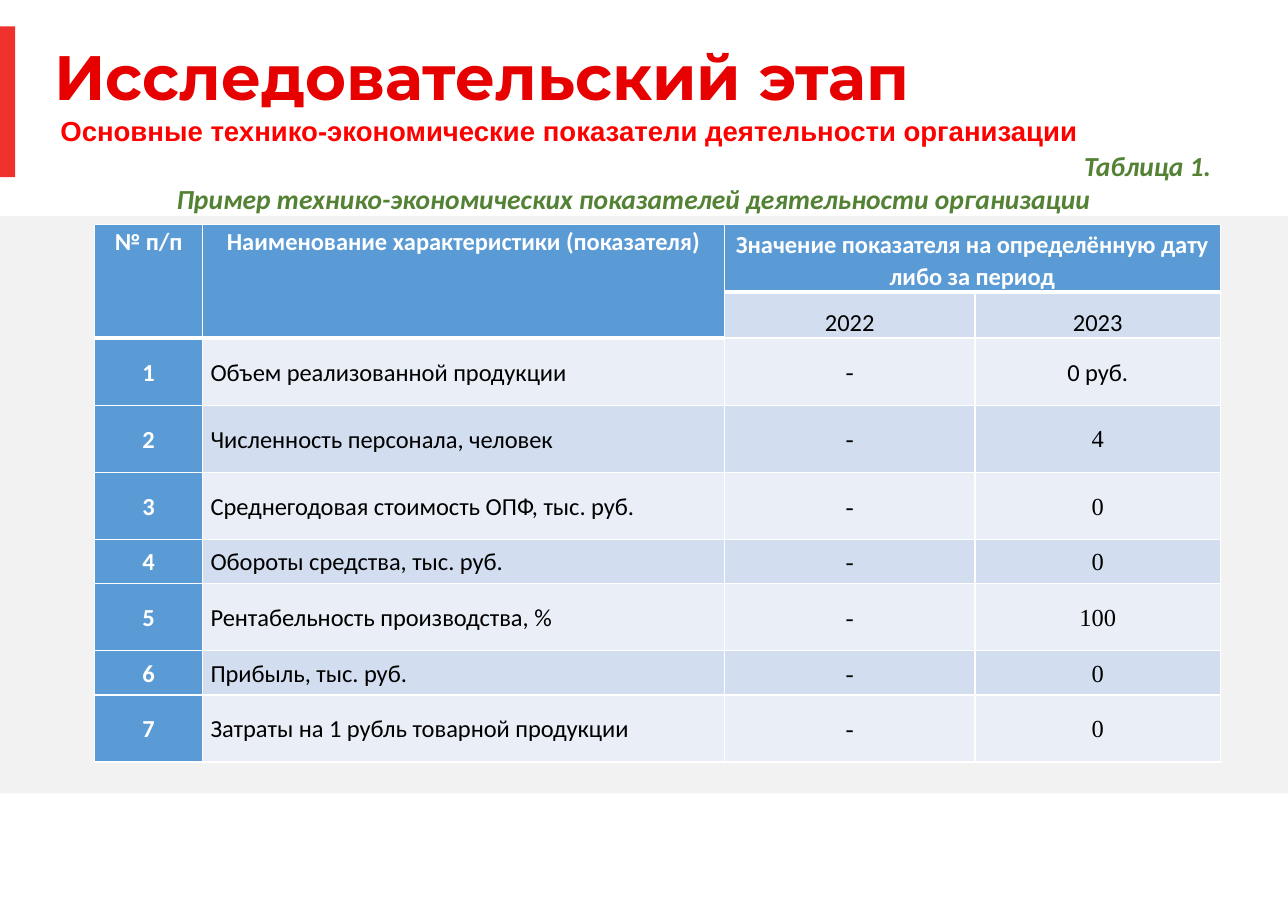
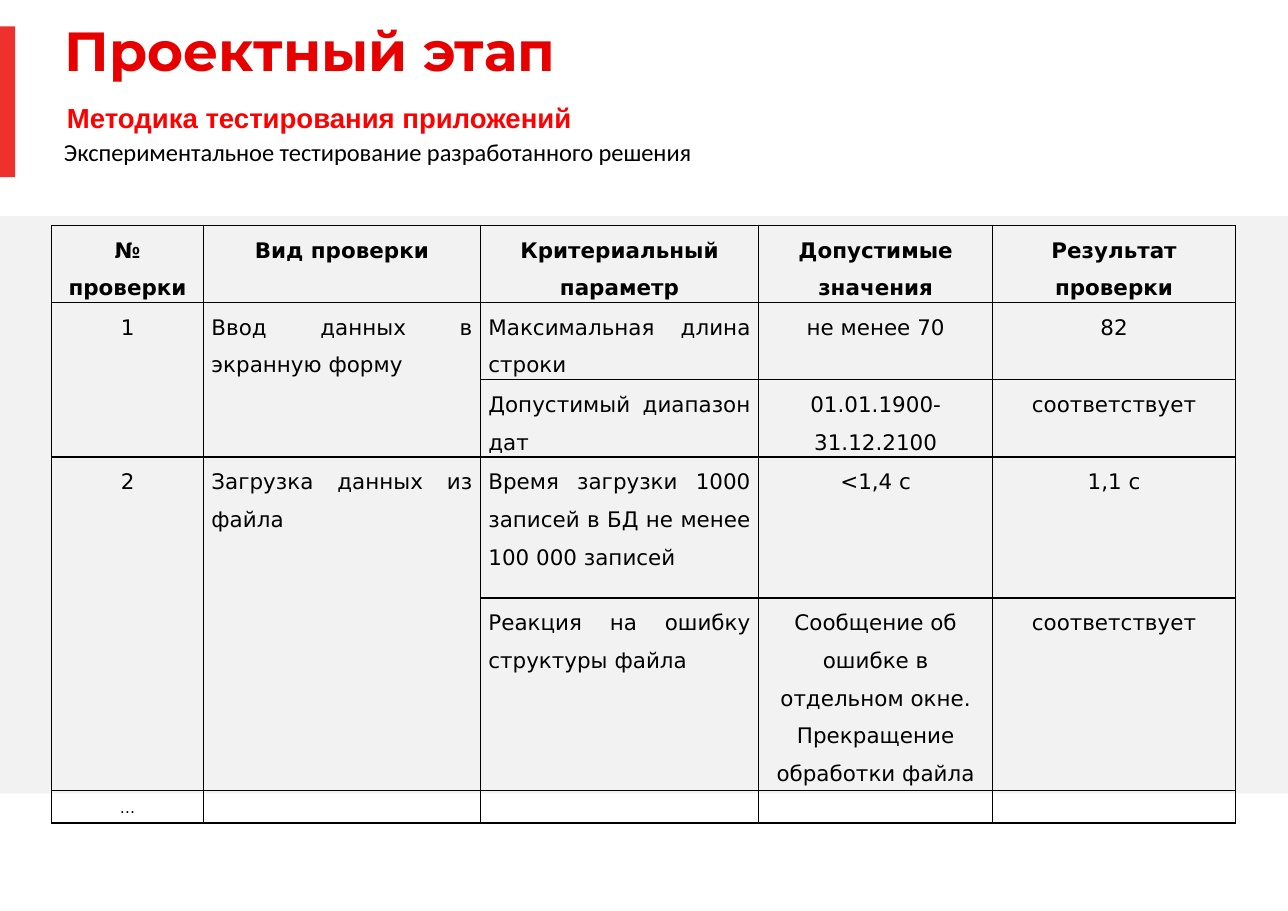
import pptx
import pptx.util
import pptx.dml.color
import pptx.enum.shapes
import pptx.enum.text
import pptx.oxml.ns
from lxml import etree

Pt = pptx.util.Pt
Align = pptx.enum.text.PP_ALIGN
Anchor = pptx.enum.text.MSO_ANCHOR
qn = pptx.oxml.ns.qn

SLIDE_WIDTH, SLIDE_HEIGHT = 841.68, 595.44
BAND, ACCENT, TITLE, SUBTITLE = "F2F2F2", "EE312C", "E60000", "FF0000"
CAPTION, BLACK, WHITE = "548235", "000000", "FFFFFF"
HEADER, ODD_ROW, EVEN_ROW = "5B9BD5", "EAEFF7", "D2DEEF"

INDICATORS = [
    ("Объем реализованной продукции", "0 руб."),
    ("Численность персонала, человек", "4"),
    ("Среднегодовая стоимость ОПФ, тыс. руб.", "0"),
    ("Обороты средства, тыс. руб.", "0"),
    ("Рентабельность производства, %", "100"),
    ("Прибыль, тыс. руб.", "0"),
    ("Затраты на 1 рубль товарной продукции", "0"),
]
CHECKS = [
    ("№ проверки", "Вид проверки", "Критериальный параметр", "Допустимые значения", "Результат проверки"),
    ("1", "Ввод данных в экранную форму", "Максимальная длина строки", "не менее 70", "82"),
    ("", "", "Допустимый диапазон дат", "01.01.1900-31.12.2100", "соответствует"),
    ("2", "Загрузка данных из файла", "Время загрузки 1000 записей в БД не менее 100 000 записей", "<1,4 с", "1,1 с"),
    ("", "", "Реакция на ошибку структуры файла",
     "Сообщение об ошибке в отдельном окне.\nПрекращение обработки файла", "соответствует"),
    ("…", "", "", "", ""),
]


def rgb(value):
    return pptx.dml.color.RGBColor.from_string(value)


def write(frame, text, font, size, color, bold=False, italic=False, align=Align.LEFT, spacing=1.0):
    frame.text = text
    for paragraph in frame.paragraphs:
        paragraph.alignment = align
        paragraph.line_spacing = spacing
        for run in paragraph.runs:
            run.font.name = font
            run.font.size = Pt(size)
            run.font.color.rgb = rgb(color)
            run.font.bold = bold
            run.font.italic = italic
        if not paragraph.runs:
            etree.SubElement(paragraph._p, qn("a:endParaRPr"), sz=str(size * 100))


def add_block(slide, color, left, top, width, height):
    block = slide.shapes.add_shape(
        pptx.enum.shapes.MSO_SHAPE.RECTANGLE, Pt(left), Pt(top), Pt(width), Pt(height))
    block.shadow.inherit = False
    block.fill.solid()
    block.fill.fore_color.rgb = rgb(color)
    block.line.fill.background()


def add_text(slide, place, text, font, size, color, insets=(0, 0), anchor=Anchor.TOP, **style):
    box = slide.shapes.add_textbox(*(Pt(length) for length in place))
    frame = box.text_frame
    frame.word_wrap = True
    frame.vertical_anchor = anchor
    frame.margin_left = frame.margin_right = Pt(insets[0])
    frame.margin_top = frame.margin_bottom = Pt(insets[1])
    write(frame, text, font, size, color, **style)
    return frame


def add_stage_slide(deck, title, title_place, title_size, subtitle, subtitle_place):
    slide = deck.slides.add_slide(deck.slide_layouts[6])
    add_block(slide, BAND, 0, 141.3, SLIDE_WIDTH, 377.3)
    add_block(slide, ACCENT, 0, 17.2, 9.9, 98.6)
    add_text(slide, title_place, title, "Montserrat", title_size, TITLE,
             anchor=Anchor.MIDDLE, bold=True, spacing=0.9)
    add_text(slide, subtitle_place, subtitle, "Arial", 18, SUBTITLE, insets=(8, 4.3),
             anchor=Anchor.BOTTOM, bold=True, spacing=0.9)
    return slide


def add_grid(slide, left, top, columns, rows, merges):
    grid = slide.shapes.add_table(
        len(rows), len(columns), Pt(left), Pt(top), Pt(sum(columns)), Pt(sum(rows))).table
    grid.first_row = grid.horz_banding = False
    for column, width in zip(grid.columns, columns):
        column.width = Pt(width)
    for row, height in zip(grid.rows, rows):
        row.height = Pt(height)
    for first, last in merges:
        grid.cell(*first).merge(grid.cell(*last))
    return grid


def set_cell(cell, text, border, fill=None, anchor=Anchor.TOP, heavy="", **style):
    cell.margin_left = cell.margin_right = Pt(5.2)
    cell.margin_top = cell.margin_bottom = 0
    cell.vertical_anchor = anchor
    properties = cell._tc.get_or_add_tcPr()
    for side in "LRTB":
        width = Pt(3 if side in heavy else 1)
        line = etree.SubElement(properties, qn("a:ln" + side), w=str(width))
        paint = etree.SubElement(line, qn("a:solidFill"))
        etree.SubElement(paint, qn("a:srgbClr"), val=border)
    if fill:
        cell.fill.solid()
        cell.fill.fore_color.rgb = rgb(fill)
    else:
        cell.fill.background()
    if not cell.is_spanned:
        write(cell.text_frame, text, **style)


def indicator_style(row, column, text):
    header = row == 0 or column == 0 or (row == 1 and column == 1)
    style = dict(font="Calibri", size=16, color=WHITE if header else BLACK, bold=header,
                 align=Align.CENTER, spacing=1.07, anchor=Anchor.MIDDLE)
    style["fill"] = HEADER if header else (EVEN_ROW if row % 2 else ODD_ROW)
    if row < 2:
        style["anchor"] = Anchor.TOP if column < 2 else Anchor.BOTTOM
    elif column == 1:
        style["align"] = Align.JUSTIFY
    elif column > 1 and "руб" not in text:
        style["font"] = "Times New Roman"
    header_end = 1 if column < 2 else 0
    style["heavy"] = "B" if row <= header_end else "T" if row == header_end + 1 else ""
    if row == 0 and column < 2:
        style["heavy"] = "B"
    if row == 1 and column < 2:
        style["heavy"] = "B"
    return style


def add_indicators(slide):
    content = [
        ("№ п/п", "Наименование характеристики (показателя)",
         "Значение показателя на определённую дату либо за период", ""),
        ("", "", "2022", "2023"),
    ]
    content += [(str(number), name, "-", value)
                for number, (name, value) in enumerate(INDICATORS, 1)]
    tall, short = 43.9, 28.9
    grid = add_grid(slide, 61.9, 146.8, [70.5, 341, 163.8, 160.3],
                    [tall, 30.3, tall, tall, tall, short, tall, short, tall],
                    [((0, 0), (1, 0)), ((0, 1), (1, 1)), ((0, 2), (0, 3))])
    for row, texts in enumerate(content):
        for column, text in enumerate(texts):
            set_cell(grid.cell(row, column), text, WHITE, **indicator_style(row, column, text))


def add_checks(slide):
    grid = add_grid(slide, 33.8, 147.4, [99.2, 181, 181.8, 153, 158.6],
                    [49.2, 49.2, 49.2, 92.2, 123, 21],
                    [((row, column), (row + 1, column)) for row in (1, 3) for column in (0, 1)])
    for row, texts in enumerate(CHECKS):
        for column, text in enumerate(texts):
            justified = row > 0 and column in (1, 2)
            set_cell(grid.cell(row, column), text, BLACK, font="DejaVu Sans",
                     size=10 if row == len(CHECKS) - 1 else 14, color=BLACK, bold=row == 0,
                     align=Align.JUSTIFY if justified else Align.CENTER, spacing=1.5)


def main():
    deck = pptx.Presentation()
    deck.slide_width, deck.slide_height = Pt(SLIDE_WIDTH), Pt(SLIDE_HEIGHT)

    research = add_stage_slide(
        deck, "Исследовательский этап", (35.5, 30.2, 762.5, 44.6), 41,
        "Основные технико-экономические показатели деятельности организации",
        (31.5, 67.7, 766.5, 33))
    add_indicators(research)
    caption = add_text(
        research, (61.9, 93.6, 736.6, 51),
        "Таблица 1.\nПример технико-экономических показателей деятельности организации",
        "Calibri", 18, CAPTION, insets=(7.2, 3.6), bold=True, italic=True)
    caption.paragraphs[0].alignment = Align.RIGHT
    caption.paragraphs[1]._p.get_or_add_pPr().set("indent", str(Pt(46.5)))

    project = add_stage_slide(
        deck, "Проектный этап", (42, 13, 799, 44.6), 36,
        "Методика тестирования приложений", (35.8, 59.2, 766.5, 33))
    add_text(project, (33.8, 85, 773.3, 30),
             "Экспериментальное тестирование разработанного решения",
             "Calibri", 16, BLACK, insets=(8, 4.3))
    add_checks(project)

    deck.save("out.pptx")


if __name__ == "__main__":
    main()
